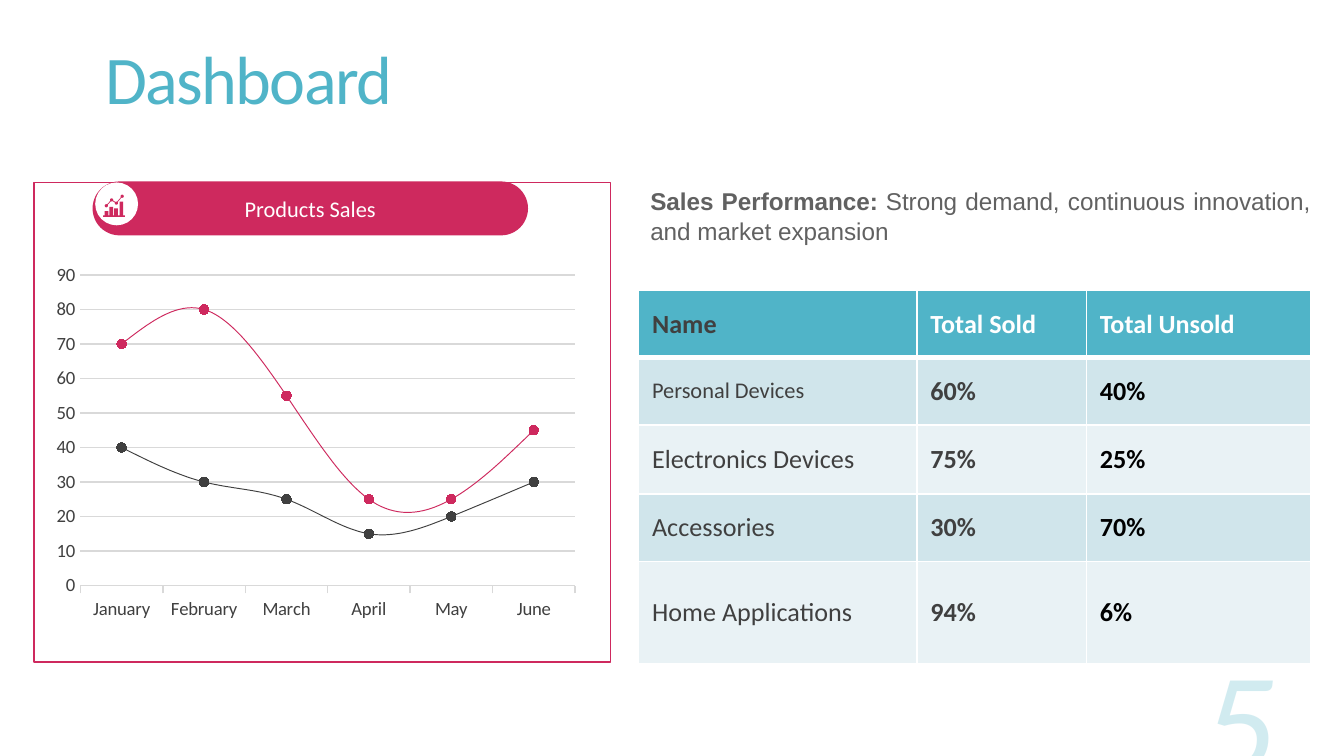
"""Builds the sales dashboard slide."""
from dataclasses import dataclass
from typing import Any, NamedTuple

from lxml.etree import SubElement
from pptx import Presentation
from pptx.chart.data import CategoryChartData
from pptx.dml.color import RGBColor
from pptx.enum.chart import XL_CHART_TYPE, XL_MARKER_STYLE, XL_TICK_MARK
from pptx.enum.shapes import MSO_SHAPE
from pptx.enum.text import MSO_ANCHOR, PP_ALIGN
from pptx.oxml import parse_xml
from pptx.oxml.ns import nsdecls, qn
from pptx.util import Cm, Pt

COLORS = {
    "teal": "50B4C8", "pink": "CE295E", "dark": "404040", "gray": "616161",
    "grid": "D9D9D9", "white": "FFFFFF", "black": "000000",
    "band1": "D0E5EB", "band2": "E9F2F5",
}


class Box(NamedTuple):
    left: float
    top: float
    width: float
    height: float

    def emu(self) -> list:
        return [Cm(v) for v in self]


@dataclass
class Run:
    text: str
    size: float
    color: str
    bold: bool = False
    italic: bool = False
    name: str = "Calibri"


@dataclass
class Series:
    name: str
    values: tuple
    color: str


@dataclass
class Row:
    height: float
    fill: str
    texts: tuple
    colors: tuple = ("dark", "dark", "black")
    bolds: tuple = (False, True, True)
    first_size: float = 14


SERIES = [
    Series("Series 1", (40, 30, 25, 15, 20, 30), "dark"),
    Series("Series 2", (30, 50, 30, 10, 5, 15), "pink"),
]
MONTHS = ("January", "February", "March", "April", "May", "June")
COL_WIDTHS = (5.26, 3.2, 4.24)
ROWS = [
    Row(1.27, "teal", ("Name", "Total Sold", "Total Unsold"),
        ("dark", "white", "white"), (True, True, True)),
    Row(1.27, "band1", ("Personal Devices", "60%", "40%"), first_size=12),
    Row(1.31, "band2", ("Electronics Devices", "75%", "25%")),
    Row(1.27, "band1", ("Accessories", "30%", "70%")),
    Row(1.93, "band2", ("Home Applications", "94%", "6%")),
]
ICON_BARS = ((1.98, 3.99), (2.07, 3.91), (2.16, 3.94), (2.26, 3.81))
ICON_TREND = ((2.01, 3.89), (2.11, 3.78), (2.2, 3.84), (2.31, 3.71))


def rgb(key: str) -> RGBColor:
    return RGBColor.from_string(COLORS[key])


def apply(obj: Any, values: dict) -> None:
    for key, value in values.items():
        setattr(obj, key, value)


def style_font(font: Any, run: Run) -> None:
    apply(font, {"size": Pt(run.size), "name": run.name,
                 "bold": run.bold, "italic": run.italic})
    font.color.rgb = rgb(run.color)


def paint(obj: Any, color: str) -> None:
    obj.fill.solid()
    obj.fill.fore_color.rgb = rgb(color)


def draw_line(line: Any, color: str, width: float) -> None:
    line.color.rgb = rgb(color)
    line.width = Pt(width)


def add_runs(tf: Any, runs: list, para: dict) -> Any:
    p = tf.paragraphs[0]
    apply(p, para)
    for run in runs:
        r = p.add_run()
        r.text = run.text
        style_font(r.font, run)
    return p


def add_text(s: Any, box: Box, runs: list, frame: dict, para: dict) -> Any:
    tf = s.shapes.add_textbox(*box.emu()).text_frame
    apply(tf, {"word_wrap": True, **frame})
    return add_runs(tf, runs, para)


def add_solid(s: Any, kind: Any, box: Box, color: str) -> Any:
    sp = s.shapes.add_shape(kind, *box.emu())
    sp.shadow.inherit = False
    paint(sp, color)
    sp.line.fill.background()
    return sp


def add_outline(s: Any, points: list, color: str) -> None:
    pts = [(round(x * 1000), round(y * 1000)) for x, y in points]
    fb = s.shapes.build_freeform(*pts[0], scale=Cm(1) / 1000)
    fb.add_line_segments(pts[1:], close=True)
    sp = fb.convert_to_shape()
    sp.shadow.inherit = False
    paint(sp, color)
    sp.line.fill.background()


def add_icon(s: Any) -> None:
    add_solid(s, MSO_SHAPE.OVAL, Box(1.8, 3.45, 0.81, 0.81), "white")
    base, foot = 4.07, 4.1
    skyline = [(1.95, foot), (1.95, base)]
    for x, top in ICON_BARS:
        skyline += [(x, base), (x, top), (x + 0.07, top), (x + 0.07, base)]
    add_outline(s, skyline + [(2.36, base), (2.36, foot)], "pink")
    upper = [(x, y - 0.01) for x, y in ICON_TREND]
    lower = [(x, y + 0.01) for x, y in reversed(ICON_TREND)]
    add_outline(s, upper + lower, "pink")
    for x, y in ICON_TREND:
        add_solid(s, MSO_SHAPE.OVAL, Box(x - 0.03, y - 0.03, 0.06, 0.06), "pink")


def add_sales_chart(s: Any, box: Box) -> None:
    data = CategoryChartData()
    data.categories = MONTHS
    for item in SERIES:
        data.add_series(item.name, item.values)
    chart = s.shapes.add_chart(
        XL_CHART_TYPE.LINE_MARKERS_STACKED, *box.emu(), data).chart
    apply(chart, {"has_title": False, "has_legend": False})
    style_font(chart.font, Run("", 10, "dark"))
    cat, val = chart.category_axis, chart.value_axis
    apply(cat, {"major_tick_mark": XL_TICK_MARK.OUTSIDE, "has_major_gridlines": False})
    apply(val, {"major_tick_mark": XL_TICK_MARK.NONE, "has_major_gridlines": True,
                "minimum_scale": 0, "maximum_scale": 90, "major_unit": 10})
    for axis in (cat, val):
        style_font(axis.tick_labels.font, Run("", 10, "dark"))
    draw_line(cat.format.line, "grid", 0.75)
    draw_line(val.major_gridlines.format.line, "grid", 0.75)
    val.format.line.fill.background()
    for item, ser in zip(SERIES, chart.plots[0].series):
        ser.smooth = True
        draw_line(ser.format.line, item.color, 0.5)
        apply(ser.marker, {"style": XL_MARKER_STYLE.CIRCLE, "size": 5})
        paint(ser.marker.format, item.color)
        draw_line(ser.marker.format.line, item.color, 0.5)
    area = chart.plots[0]._element.getparent()
    for old in area.findall(qn("c:layout")):
        area.remove(old)
    fields = {"layoutTarget": "inner", "xMode": "edge", "yMode": "edge",
              "x": 0.06, "y": 0.05, "w": 0.92, "h": 0.84}
    inner = "".join(f'<c:{k} val="{v}"/>' for k, v in fields.items())
    area.insert(0, parse_xml(f'<c:layout {nsdecls("c")}><c:manualLayout>{inner}'
                             '</c:manualLayout></c:layout>'))


def set_borders(cell: Any, widths: dict) -> None:
    tcPr = cell._tc.get_or_add_tcPr()
    for side, width in widths.items():
        ln = SubElement(tcPr, qn(f"a:ln{side}"), w=str(Pt(width)))
        fill = SubElement(ln, qn("a:solidFill"))
        SubElement(fill, qn("a:srgbClr"), val=COLORS["white"])


def add_sales_table(s: Any, box: Box) -> None:
    table = s.shapes.add_table(len(ROWS), len(COL_WIDTHS), *box.emu()).table
    table.horz_banding = False
    for col, width in zip(table.columns, COL_WIDTHS):
        col.width = Cm(width)
    for i, row in enumerate(ROWS):
        table.rows[i].height = Cm(row.height)
        for j, (text, color, bold) in enumerate(zip(row.texts, row.colors, row.bolds)):
            cell = table.cell(i, j)
            cell.vertical_anchor = MSO_ANCHOR.MIDDLE
            set_borders(cell, {"L": 1, "R": 1, "T": 3 if i == 1 else 1, "B": 1 if i else 3})
            paint(cell, row.fill)
            size = 14 if j else row.first_size
            add_runs(cell.text_frame, [Run(text, size, color, bold)], {})


def main() -> None:
    prs = Presentation()
    apply(prs, {"slide_width": Cm(25.4), "slide_height": Cm(14.29)})
    s = prs.slides.add_slide(prs.slide_layouts[6])
    add_sales_chart(s, Box(0.91, 4.85, 10.16, 6.99))
    frame = add_solid(s, MSO_SHAPE.RECTANGLE, Box(0.64, 3.45, 10.9, 9.07), "white")
    frame.fill.background()
    draw_line(frame.line, "pink", 1)
    flush = dict.fromkeys(("margin_left", "margin_top", "margin_right", "margin_bottom"), 0)
    add_text(s, Box(12.29, 3.53, 12.47, 1.12), [
        Run("Sales Performance:", 13, "gray", True, name="Arial"),
        Run(" Strong demand, continuous innovation, and market expansion",
            13, "gray", name="Arial"),
    ], flush, {"alignment": PP_ALIGN.JUSTIFY, "space_after": Pt(8)})
    pill = add_solid(s, MSO_SHAPE.ROUNDED_RECTANGLE, Box(1.75, 3.43, 8.23, 1.02), "pink")
    pill.adjustments[0] = 0.5
    pill.text_frame.vertical_anchor = MSO_ANCHOR.MIDDLE
    add_runs(pill.text_frame, [Run("Products Sales", 12, "white")],
             {"alignment": PP_ALIGN.CENTER})
    add_icon(s)
    p = add_text(s, Box(1.75, 1.07, 21.89, 1.04), [Run("Dashboard", 36.5, "teal")],
                 {"vertical_anchor": MSO_ANCHOR.MIDDLE}, {"line_spacing": 0.85})
    p.runs[0].font._element.set("spc", "-90")
    add_sales_table(s, Box(12.07, 5.49, 12.7, 7.05))
    p = add_text(s, Box(18.26, 12.24, 6.1, 2.92), [Run("5", 77.2, "teal", italic=True)],
                 {"vertical_anchor": MSO_ANCHOR.BOTTOM, "margin_bottom": 0},
                 {"alignment": PP_ALIGN.RIGHT})
    clr = p.runs[0].font._element.find(".//" + qn("a:srgbClr"))
    SubElement(clr, qn("a:alpha"), val="25000")
    prs.save("out.pptx")


if __name__ == "__main__":
    main()
